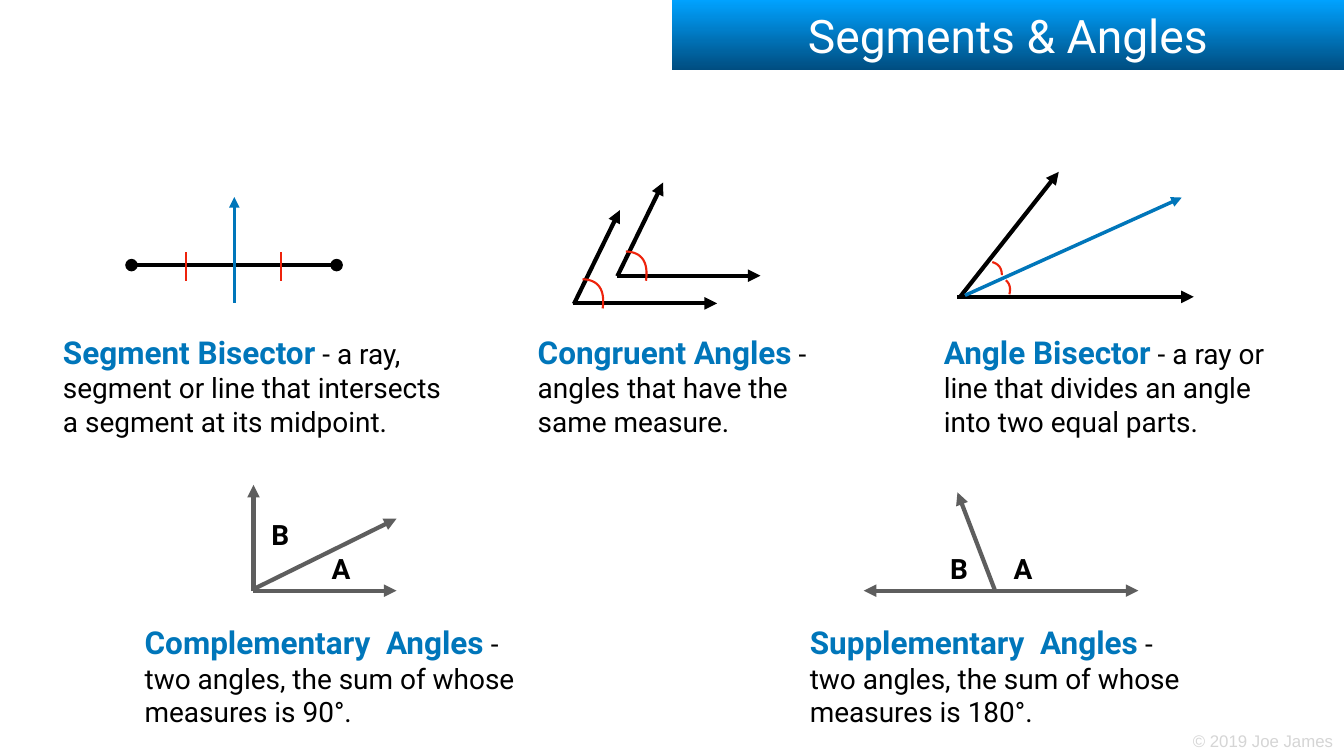
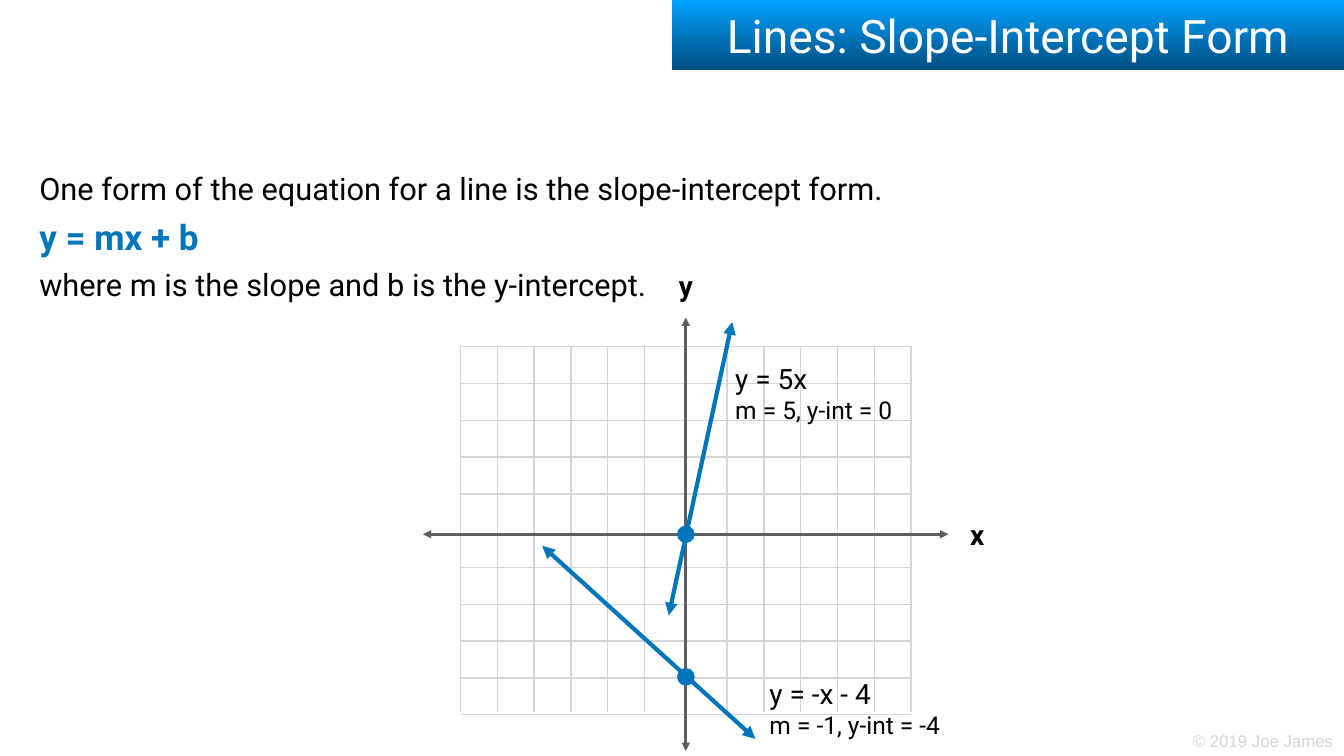
from lxml.etree import SubElement
from pptx import Presentation
from pptx.dml.color import RGBColor
from pptx.enum.shapes import MSO_CONNECTOR, MSO_SHAPE
from pptx.enum.text import MSO_ANCHOR, MSO_AUTO_SIZE, PP_ALIGN
from pptx.oxml.ns import qn
from pptx.util import Inches, Pt

COLUMNS, ROWS = 26.67, 15
CELL = Inches(1)
FONT = "Roboto"
BLUE, BLACK, GRAY, RED = "0076BA", "000000", "5E5E5E", "EE230C"
PALE, WHITE = "D5D5D5", "FFFFFF"
BAND = ("00A2FF", "004D80")
BAND_HEIGHT = 1.39
INSET = 0.06
THICK = 6

FOOTER = "© 2019 Joe James"
TITLES = ("Segments & Angles", "Lines: Slope-Intercept Form")

DEFINITIONS = [
    ("Segment Bisector", "- a ray, segment or line that intersects a segment at its midpoint.", 1.19, 6.54, 7.72),
    ("Angle Bisector", "- a ray or line that divides an angle into two equal parts.", 18.67, 6.55, 6.76),
    ("Congruent Angles", "- angles that have the same measure.", 10.61, 6.55, 6),
    ("Complementary  Angles", "- two angles, the sum of whose measures is 90°.", 2.81, 12.31, 7.72),
    ("Supplementary  Angles", "- two angles, the sum of whose measures is 180°.", 16.01, 12.31, 7.72),
]
SEGMENT_BISECTOR = [
    ((2.61, 5.26), (6.68, 5.26), BLACK, THICK, "oval", "oval"),
    ((4.65, 6.01), (4.65, 3.91), BLUE, 5, None, "triangle"),
]
SEGMENT_TICKS = (3.69, 5.57)
TICK_TOP, TICK_BOTTOM = 5, 5.57
ANGLE_BISECTOR = [
    ((19, 5.89), (23.69, 5.89), BLACK, THICK, None, "triangle"),
    ((19.06, 5.88), (21.01, 3.41), BLACK, THICK, None, "triangle"),
    ((19.15, 5.86), (23.45, 3.92), BLUE, 5, None, "triangle"),
]
BISECTED_ARCS = [
    ((20.03, 5.84), (20.06, 5.72), (20.04, 5.63), (19.96, 5.56)),
    ((19.88, 5.46), (19.88, 5.32), (19.82, 5.24), (19.69, 5.2)),
]
CONGRUENT_VERTICES = [(12.25, 5.48), (11.39, 6.03)]
CONGRUENT_RAYS = [((-0.01, -0.01), (2.84, -0.01)), ((0, 0), (0.91, -1.86))]
CONGRUENT_ARC = ((0.57, 0.09), (0.62, -0.28), (0.49, -0.48), (0.17, -0.49))
ANGLE_PAIRS = [
    ((5.02, 11.72), (7.87, 11.72), GRAY, THICK, None, "triangle"),
    ((5.03, 11.73), (5.03, 9.62), GRAY, THICK, None, "triangle"),
    ((5.03, 11.69), (7.87, 10.29), GRAY, THICK, None, "triangle"),
    ((17.14, 11.72), (22.59, 11.72), GRAY, THICK, "triangle", "triangle"),
    ((19.75, 11.73), (19, 9.77), GRAY, THICK, None, "triangle"),
]
ANGLE_LETTERS = [("A", 6.77, 11.28), ("B", 5.56, 10.61), ("A", 20.3, 11.28), ("B", 19.03, 11.28)]

INTRODUCTION = [
    ("One form of the equation for a line is the slope-intercept form.", 44, BLACK, False),
    ("y = mx + b", 50, BLUE, True),
    ("where m is the slope and b is the y-intercept.", 44, BLACK, False),
]
ORIGIN_X, ORIGIN_Y = 13.61, 10.6
GRID_STEP = 0.73
GRID_SIDES = [("column", -0.82, -1, 6), ("column", 0.82, 1, 6), ("row", -0.8, -1, 5), ("row", 0.66, 1, 5)]
GRID_LEFT, GRID_RIGHT, GRID_TOP, GRID_BOTTOM = 9.14, 18.08, 6.87, 14.12
AXES = [((8.39, ORIGIN_Y), (18.82, ORIGIN_Y)), ((ORIGIN_X, 6.3), (ORIGIN_X, 14.9))]
AXIS_LETTERS = [("x", 19.39, 10.6), ("y", 13.61, 5.66)]
DOT = 0.35
EQUATIONS = [
    ("y = 5x", "m = 5, y-int = 0", (13.27, 12.21), (14.53, 6.39), 10.6, (14.53, 7.12, 3.55, 1.33)),
    ("y = -x - 4", "m = -1, y-int = -4", (14.99, 14.66), (10.76, 10.83), 13.43, (15.21, 13.36, 3.93, 1.33)),
]


def color(value):
    return RGBColor.from_string(value)


def cells(*lengths):
    return [round(length * CELL) for length in lengths]


def shift(points, origin):
    return [(x + origin[0], y + origin[1]) for x, y in points]


def add_span(para, text, size, ink, bold=False, font=FONT):
    span = para.add_run()
    span.text = text
    span.font.name = font
    span.font.size = Pt(size)
    span.font.bold = bold
    span.font.color.rgb = color(ink)


def set_frame(frame, wrap, anchor, auto_size):
    frame.word_wrap = wrap
    frame.vertical_anchor = anchor
    frame.auto_size = auto_size
    frame.margin_left = frame.margin_right = Inches(INSET)
    frame.margin_top = frame.margin_bottom = Inches(INSET)


def add_box(page, left, top, width, height, wrap=True, anchor=MSO_ANCHOR.TOP):
    box = page.shapes.add_textbox(*cells(left, top, width, height))
    set_frame(box.text_frame, wrap, anchor, MSO_AUTO_SIZE.SHAPE_TO_FIT_TEXT)
    return box


def add_letter(page, text, center_x, center_y, width=0.52, height=0.78):
    box = add_box(page, center_x - width / 2, center_y - height / 2, width, height, False, MSO_ANCHOR.MIDDLE)
    para = box.text_frame.paragraphs[0]
    para.alignment = PP_ALIGN.CENTER
    add_span(para, text, 40, BLACK, True)


def add_line(shapes, start, end, ink, weight, head=None, tail=None):
    line = shapes.add_connector(MSO_CONNECTOR.STRAIGHT, *cells(*start, *end))
    line.line.color.rgb = color(ink)
    line.line.width = Pt(weight)
    properties = line.element.spPr
    outline = properties.find(qn("a:ln"))
    for tag, kind in (("a:headEnd", head), ("a:tailEnd", tail)):
        if kind:
            SubElement(outline, qn(tag), type=kind)
    SubElement(properties, qn("a:effectLst"))


def add_arc(page, curve, pieces=16):
    points = []
    for index in range(pieces + 1):
        t = index / pieces
        weights = ((1 - t) ** 3, 3 * t * (1 - t) ** 2, 3 * t * t * (1 - t), t ** 3)
        points.append(cells(*(sum(w * p[axis] for w, p in zip(weights, curve)) for axis in (0, 1))))
    builder = page.shapes.build_freeform(*points[0])
    builder.add_line_segments(points[1:], close=False)
    arc = builder.convert_to_shape()
    arc.shadow.inherit = False
    arc.fill.background()
    arc.line.color.rgb = color(RED)
    arc.line.width = Pt(3)


def add_page(deck, layout, text):
    page = deck.slides.add_slide(layout)
    title = page.shapes.title
    title.left, title.top, title.width, title.height = cells(COLUMNS / 2, 0, COLUMNS / 2, BAND_HEIGHT)
    title.fill.gradient()
    title.fill.gradient_angle = 270
    for stop, shade in zip(title.fill.gradient_stops, BAND):
        stop.color.rgb = color(shade)
    set_frame(title.text_frame, True, MSO_ANCHOR.MIDDLE, MSO_AUTO_SIZE.NONE)
    para = title.text_frame.paragraphs[0]
    para.alignment = PP_ALIGN.CENTER
    add_span(para, text, 66, WHITE)
    return page


def add_footer(page, layout):
    box = add_box(page, 23.61, 14.45, 2.91, 0.49, False, MSO_ANCHOR.MIDDLE)
    add_span(box.text_frame.paragraphs[0], FOOTER, 24, PALE, font="Arial")
    layout.shapes.element.append(box.element)


def draw_angles(page):
    for line in SEGMENT_BISECTOR + ANGLE_BISECTOR + ANGLE_PAIRS:
        add_line(page.shapes, *line)
    for x in SEGMENT_TICKS:
        add_line(page.shapes, (x, TICK_BOTTOM), (x, TICK_TOP), RED, 3)
    for vertex in CONGRUENT_VERTICES:
        for ray in CONGRUENT_RAYS:
            add_line(page.shapes, *shift(ray, vertex), BLACK, THICK, tail="triangle")
    for curve in BISECTED_ARCS + [shift(CONGRUENT_ARC, vertex) for vertex in CONGRUENT_VERTICES]:
        add_arc(page, curve)
    for term, meaning, left, top, width in DEFINITIONS:
        para = add_box(page, left, top, width, 2.19).text_frame.paragraphs[0]
        add_span(para, term, 45, BLUE, True)
        add_span(para, " ", 40, BLACK, True)
        add_span(para, meaning, 40, BLACK)
    for letter in ANGLE_LETTERS:
        add_letter(page, *letter)


def draw_graph(page):
    graph = page.shapes.add_group_shape().shapes
    for kind, first, direction, count in GRID_SIDES:
        for index in range(count):
            offset = first + direction * index * GRID_STEP
            if kind == "column":
                x = ORIGIN_X + offset
                add_line(graph, (x, GRID_TOP), (x, GRID_BOTTOM), PALE, 2)
            else:
                y = ORIGIN_Y + offset
                add_line(graph, (GRID_LEFT, y), (GRID_RIGHT, y), PALE, 2)
    for start, end in AXES:
        add_line(graph, start, end, GRAY, 4, "triangle", "triangle")
    for letter in AXIS_LETTERS:
        add_letter(page, *letter)


def draw_equations(page):
    frame = add_box(page, 0.72, 3.31, 18.64, 2.72).text_frame
    for index, sentence in enumerate(INTRODUCTION):
        para = frame.add_paragraph() if index else frame.paragraphs[0]
        if index:
            para.space_before = Pt(12)
        add_span(para, *sentence)
    for equation, facts, start, end, intercept, place in EQUATIONS:
        dot = page.shapes.add_shape(
            MSO_SHAPE.OVAL, *cells(ORIGIN_X - DOT / 2, intercept - DOT / 2, DOT, DOT))
        dot.shadow.inherit = False
        dot.fill.solid()
        dot.fill.fore_color.rgb = color(BLUE)
        dot.line.fill.background()
        add_line(page.shapes, start, end, BLUE, THICK, "triangle", "triangle")
        para = add_box(page, *place, wrap=False).text_frame.paragraphs[0]
        add_span(para, equation, 40, BLACK)
        para.add_line_break()
        add_span(para, facts, 35, BLACK)


def main():
    deck = Presentation()
    deck.slide_width, deck.slide_height = cells(COLUMNS, ROWS)
    layout = deck.slide_layouts.get_by_name("Title Only")
    angles, lines = [add_page(deck, layout, title) for title in TITLES]
    add_footer(angles, layout)
    draw_angles(angles)
    draw_graph(lines)
    draw_equations(lines)
    deck.save("out.pptx")


if __name__ == "__main__":
    main()
